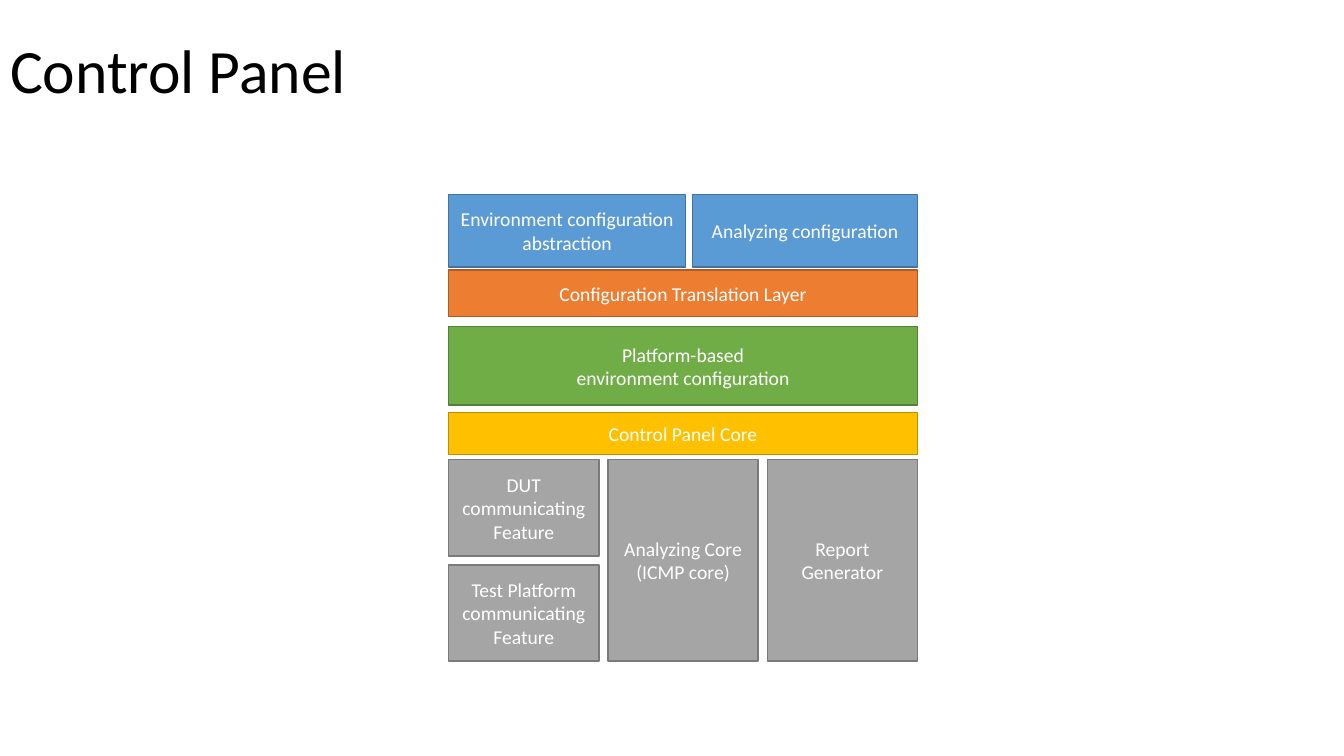
import pptx
import pptx.util
import pptx.dml.color
import pptx.enum.shapes
import pptx.enum.text

Inches = pptx.util.Inches
Pt = pptx.util.Pt
ALIGN = pptx.enum.text.PP_ALIGN
MIDDLE = pptx.enum.text.MSO_ANCHOR.MIDDLE
FONT = "Calibri"
COLORS = {
    "black": "000000", "white": "FFFFFF",
    "blue": "5B9BD5", "blue edge": "43739E",
    "orange": "ED7D31", "orange edge": "AF5C24",
    "green": "70AD47", "green edge": "538035",
    "gold": "FFC000", "gold edge": "BD8E00",
    "gray": "A5A5A5", "gray edge": "7A7A7A",
}


def color(name):
    return pptx.dml.color.RGBColor.from_string(COLORS[name])


def style(frame, size, ink, align):
    frame.word_wrap = True
    frame.vertical_anchor = MIDDLE
    for para in frame.paragraphs:
        para.alignment = align
        for run in para.runs:
            run.font.name = FONT
            run.font.size = Pt(size)
            run.font.color.rgb = color(ink)


def add_title(slide, text, left, top, width, height):
    title = slide.shapes.title
    title.left, title.top = Inches(left), Inches(top)
    title.width, title.height = Inches(width), Inches(height)
    title.text_frame.text = text
    style(title.text_frame, 44, "black", ALIGN.LEFT)
    title.text_frame.paragraphs[0].line_spacing = 0.9


def add_block(slide, text, hue, left, top, width, height):
    block = slide.shapes.add_shape(
        pptx.enum.shapes.MSO_SHAPE.RECTANGLE,
        Inches(left), Inches(top), Inches(width), Inches(height))
    block.shadow.inherit = False
    block.fill.solid()
    block.fill.fore_color.rgb = color(hue)
    block.line.color.rgb = color(hue + " edge")
    block.line.width = Pt(1)
    block.text_frame.text = text
    style(block.text_frame, 14, "white", ALIGN.CENTER)


def add_inputs(slide, left, top, width, height):
    """Two configuration blocks, the first slightly wider."""
    first, gap = 2.35, 0.07
    add_block(slide, "Environment configuration abstraction", "blue",
              left, top, first, height)
    add_block(slide, "Analyzing configuration", "blue",
              left + first + gap, top, width - first - gap, height)


def add_layers(slide, left, top, width):
    """Full-width layers; each offset is measured from the top."""
    layers = [
        ("Configuration Translation Layer", "orange", 0, 0.46),
        ("Platform-based\nenvironment configuration", "green", 0.56, 0.78),
        ("Control Panel Core", "gold", 1.41, 0.42),
    ]
    for text, hue, offset, height in layers:
        add_block(slide, text, hue, left, top + offset, width, height)


def add_cores(slide, left, top, width, height):
    """Three equal columns, the first split into two rows."""
    gap = 0.09
    wide = (width - 2 * gap) / 3
    half = (height - gap) / 2
    features = ["DUT communicating\nFeature",
                "Test Platform communicating\nFeature"]
    for row, text in enumerate(features):
        add_block(slide, text, "gray",
                  left, top + row * (half + gap), wide, half)
    cores = ["Analyzing Core\n(ICMP core)", "Report Generator"]
    for col, text in enumerate(cores, 1):
        add_block(slide, text, "gray",
                  left + col * (wide + gap), top, wide, height)


def main():
    deck = pptx.Presentation()
    deck.slide_width, deck.slide_height = Inches(13.33), Inches(7.5)
    slide = deck.slides.add_slide(deck.slide_layouts[5])
    left, width = 4.45, 4.65
    add_title(slide, "Control Panel", 0, 0, 11.5, 1.45)
    add_inputs(slide, left, 1.93, width, 0.72)
    add_layers(slide, left, 2.68, width)
    add_cores(slide, left, 4.56, width, 2)
    deck.save("out.pptx")


if __name__ == "__main__":
    main()
